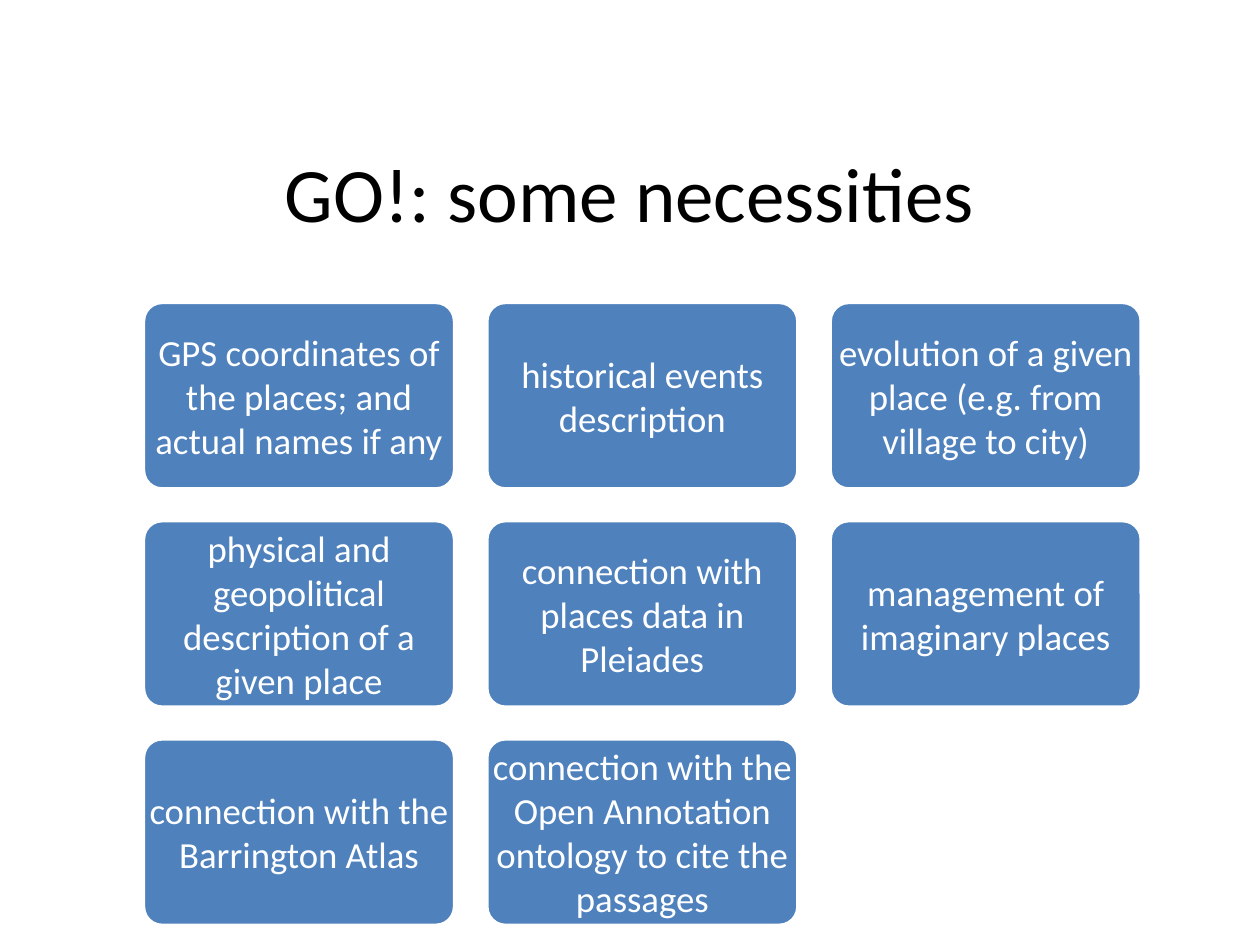
"""Build a slide with a title and a three-column grid of necessity cards."""
from dataclasses import dataclass

from pptx import Presentation
from pptx import util as u
from pptx.dml.color import RGBColor
from pptx.enum import shapes, text

HUES = {"card": "4F81BD", "edge": "FFFFFF", "label": "FFFFFF", "title": "000000"}
COLS = 3
LEFT, TOP = 82, 172.8
WIDE, HIGH = 177.8, 106.6
STEP_X, STEP_Y = 196.2, 124.7
NEEDS = [
    "GPS coordinates of the places; and actual names if any",
    "historical events description",
    "evolution of a given place (e.g. from village to city)",
    "physical and geopolitical description of a given place",
    "connection with places data in Pleiades",
    "management of imaginary places",
    "connection with the Barrington Atlas",
    "connection with the Open Annotation ontology to cite the passages",
]


@dataclass
class Card:
    """A rounded card with its label and place."""
    label: str
    left: float
    top: float


def hue(name: str) -> RGBColor:
    """Return the named colour."""
    return RGBColor.from_string(HUES[name])


def apply(item, **values) -> None:
    """Set each format value on the item."""
    for name, value in values.items():
        setattr(item, name, value)


def write(frame, words: str, size: float, tint: str, pad: float) -> None:
    """Put centred text in a frame."""
    inset = u.Pt(pad)
    apply(frame, text=words, word_wrap=True, auto_size=text.MSO_AUTO_SIZE.NONE,
          vertical_anchor=text.MSO_ANCHOR.MIDDLE, margin_left=inset,
          margin_right=inset, margin_top=0, margin_bottom=0)
    para = frame.paragraphs[0]
    para.alignment = text.PP_ALIGN.CENTER
    font = para.runs[0].font
    apply(font, name="Calibri", size=u.Pt(size))
    font.color.rgb = hue(tint)


def draw(slide, card: Card) -> None:
    """Draw one card."""
    box = slide.shapes.add_shape(
        shapes.MSO_SHAPE.ROUNDED_RECTANGLE,
        u.Pt(card.left), u.Pt(card.top), u.Pt(WIDE), u.Pt(HIGH))
    box.adjustments[0] = 0.1
    box.shadow.inherit = False
    box.fill.solid()
    box.fill.fore_color.rgb = hue("card")
    box.line.color.rgb = hue("edge")
    box.line.width = u.Pt(2)
    write(box.text_frame, card.label, 21, "label", 0)


def main() -> None:
    """Build and save the deck."""
    deck = Presentation()
    apply(deck, slide_width=u.Pt(720), slide_height=u.Pt(540))
    slide = deck.slides.add_slide(deck.slide_layouts[5])
    title = slide.shapes.title
    apply(title, left=u.Pt(36), top=u.Pt(64), width=u.Pt(648), height=u.Pt(91.4))
    write(title.text_frame, "GO!: some necessities", 44, "title", 0)
    for index, label in enumerate(NEEDS):
        row, col = divmod(index, COLS)
        draw(slide, Card(label, LEFT + col * STEP_X, TOP + row * STEP_Y))
    deck.save("out.pptx")


if __name__ == "__main__":
    main()
